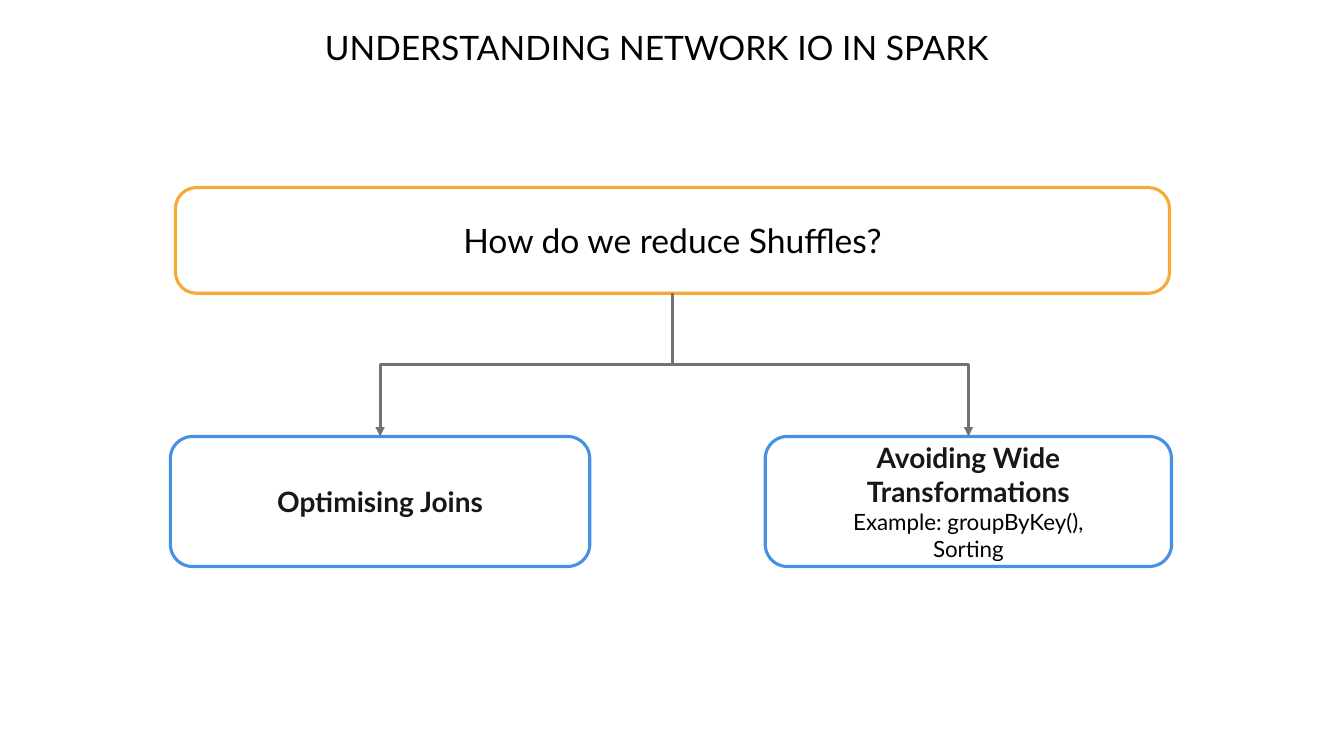
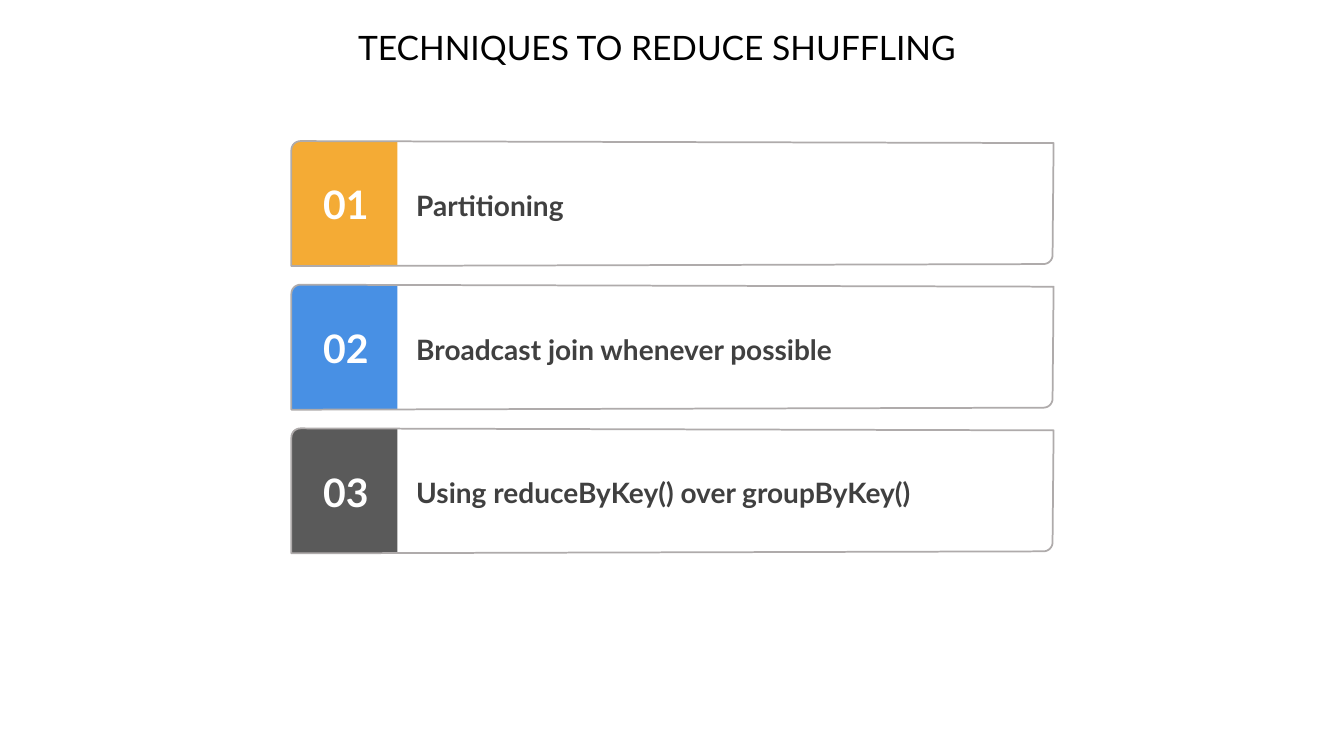
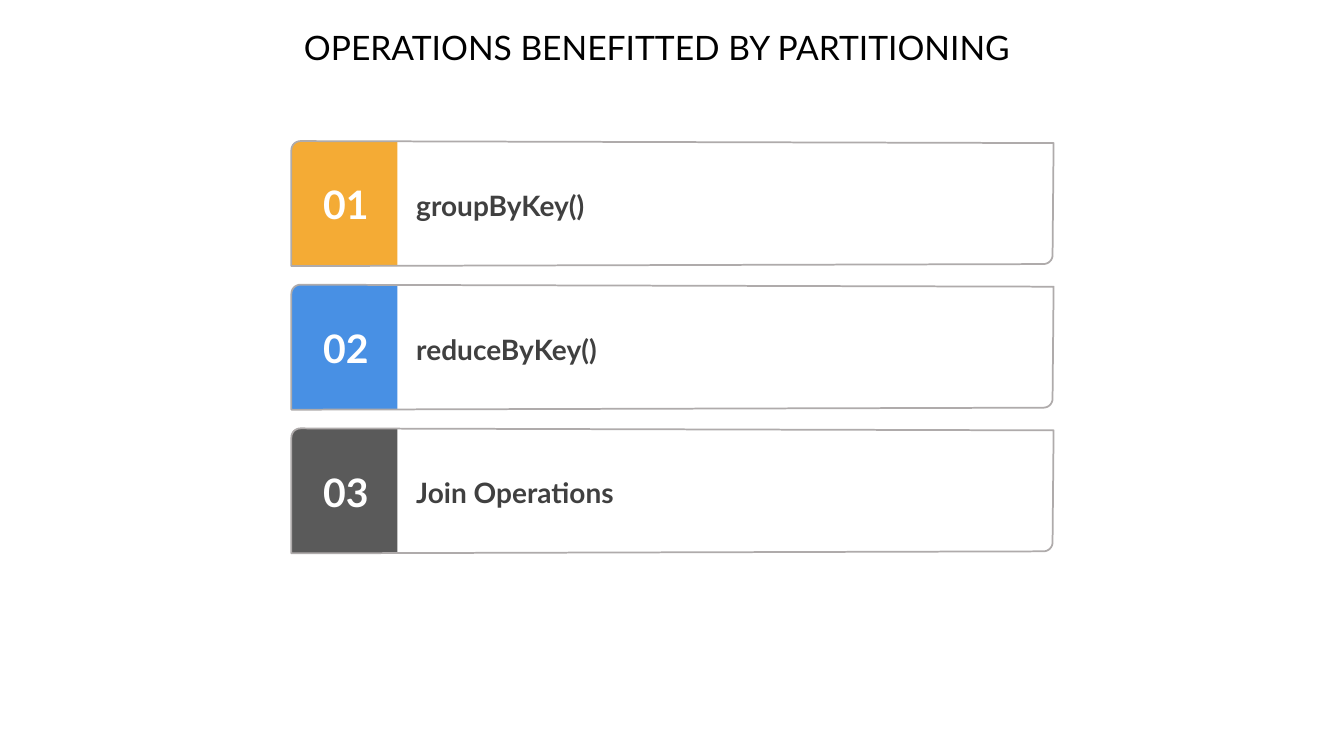
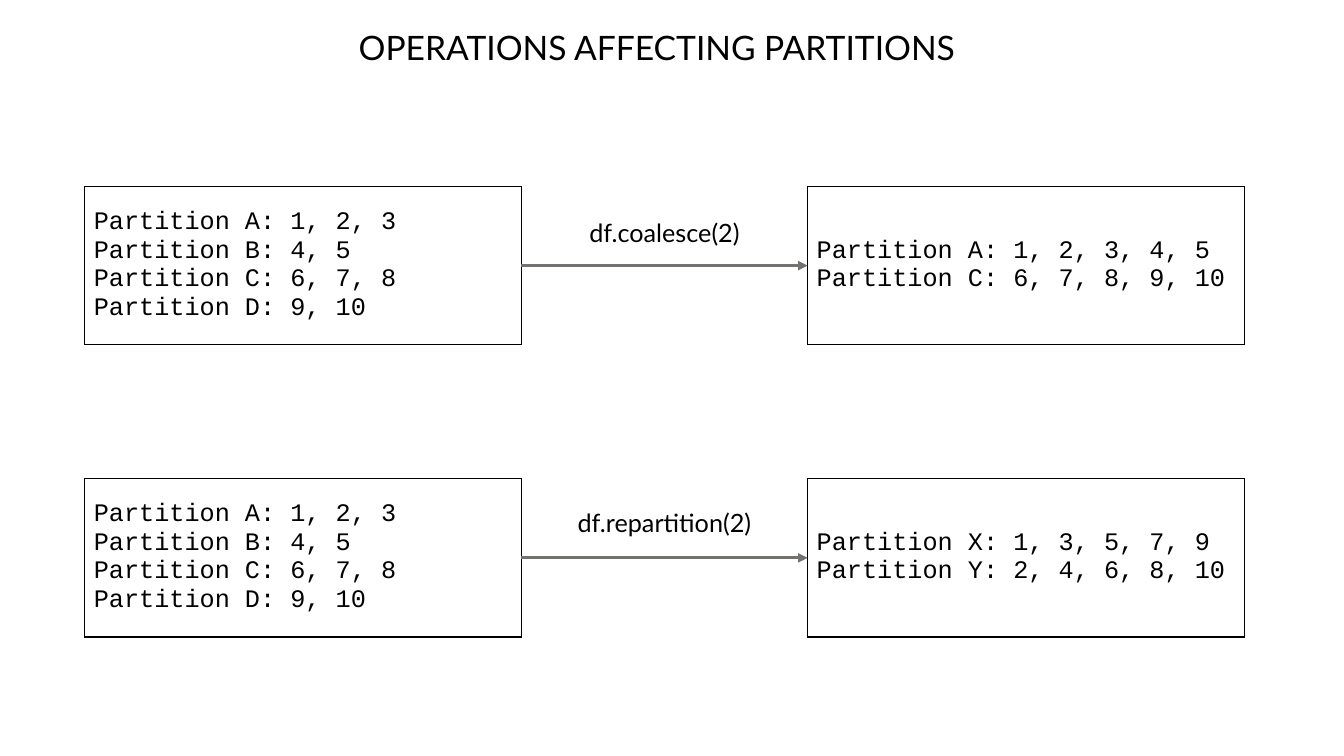
from math import cos, pi, sin

from lxml.etree import SubElement
from pptx import Presentation
from pptx.dml.color import RGBColor
from pptx.enum.shapes import MSO_CONNECTOR as Link, MSO_SHAPE as Preset
from pptx.enum.text import MSO_ANCHOR as Anchor, MSO_AUTO_SIZE as AutoSize, PP_ALIGN as Align
from pptx.oxml.ns import qn
from pptx.util import Inches, Pt

COLORS = {
    "white": "FFFFFF",
    "black": "000000",
    "heading": "181717",
    "label": "404040",
    "orange": "F4AB35",
    "blue": "4890E4",
    "charcoal": "5A5A5A",
    "outline": "AFABAB",
    "arrow": "767171",
}
SANS, MONO = "Lato", "Courier New"
BOTTOM, LEFT, TOP, RIGHT = 2, 1, 0, 3
TITLE_BOX = (1.17, 0.22, 10.69, 0.57)
LIST_BOX = (2.89, 1.4, 7.56, 4.09)
ROW_HEIGHT = 1.24
BADGE_WIDTH = 1.05


def rgb(name):
    return RGBColor.from_string(COLORS[name])


def box(left, top, width, height):
    return [Inches(length) for length in (left, top, width, height)]


def style(paragraph, size, color="black", bold=False, align=Align.CENTER, face=SANS):
    paragraph.alignment = align
    font = paragraph.font
    font.name, font.size, font.bold = face, Pt(size), bold
    font.color.rgb = rgb(color)


def set_margins(frame, margin):
    frame.margin_left = frame.margin_right = Inches(margin)
    frame.margin_top = frame.margin_bottom = Inches(margin)


def add_titled_slide(deck, heading):
    slide = deck.slides.add_slide(deck.slide_layouts[5])
    title = slide.shapes.title
    title.left, title.top, title.width, title.height = box(*TITLE_BOX)
    title.fill.solid()
    title.fill.fore_color.rgb = rgb("white")
    frame = title.text_frame
    frame.text = heading
    frame.vertical_anchor = Anchor.TOP
    frame.auto_size = AutoSize.NONE
    style(frame.paragraphs[0], 24)
    return slide


def add_text(shapes, place, text, size, color="black", bold=False, align=Align.CENTER):
    frame = shapes.add_textbox(*box(*place)).text_frame
    frame.word_wrap = True
    frame.vertical_anchor = Anchor.MIDDLE
    frame.text = text
    style(frame.paragraphs[0], size, color, bold, align)
    return frame


def add_node(slide, place, color, lines, margin, corner=0.17):
    node = slide.shapes.add_shape(Preset.ROUNDED_RECTANGLE, *box(*place))
    node.shadow.inherit = False
    node.adjustments[0] = corner
    node.fill.background()
    node.line.color.rgb = rgb(color)
    node.line.width = Pt(2.25)
    frame = node.text_frame
    frame.word_wrap = True
    frame.vertical_anchor = Anchor.MIDDLE
    set_margins(frame, margin)
    frame.text = "\n".join(text for text, *_ in lines)
    for paragraph, (_, *look) in zip(frame.paragraphs, lines):
        style(paragraph, *look)
    return node


def add_arrow(slide, kind, source, source_side, target, target_side):
    arrow = slide.shapes.add_connector(kind, 0, 0, 0, 0)
    arrow.begin_connect(source, source_side)
    arrow.end_connect(target, target_side)
    arrow.line.color.rgb = rgb("arrow")
    arrow.line.width = Pt(2.25)
    SubElement(arrow.line._get_or_add_ln(), qn("a:tailEnd"), type="triangle")
    SubElement(arrow._element.spPr, qn("a:effectLst"))
    return arrow


def add_branch(slide, parent, child):
    branch = add_arrow(slide, Link.ELBOW, parent, BOTTOM, child, TOP)
    start_x, start_y, end_x, end_y = branch.begin_x, branch.begin_y, branch.end_x, branch.end_y
    span, drop = abs(end_x - start_x), end_y - start_y
    branch.left = (start_x + end_x - drop) // 2
    branch.top = (start_y + end_y - span) // 2
    branch.width, branch.height = drop, span
    to_right = end_x > start_x
    frame = branch._element.spPr.find(qn("a:xfrm"))
    frame.set("rot", str((270 if to_right else 90) * 60000))
    frame.set("flipH", str(int(to_right)))
    frame.set("flipV", "0")


def add_question_tree(slide):
    question = add_node(slide, (1.74, 1.86, 9.86, 1.05), "orange",
                        [("How do we reduce Shuffles?", 24)], 0.1, 0.2)
    spacing = question.text_frame.paragraphs[0]
    spacing.space_before = spacing.space_after = Pt(4)
    joins = add_node(slide, (1.69, 4.33, 4.16, 1.29), "blue",
                     [("Optimising Joins", 20, "heading", True)], 0.13)
    wide = add_node(slide, (7.59, 4.33, 4.03, 1.29), "blue",
                    [("Avoiding Wide Transformations", 20, "heading", True),
                     ("Example: groupByKey(),", 16),
                     ("Sorting", 16)], 0.13)
    for answer in (wide, joins):
        add_branch(slide, question, answer)


def corner(center_x, center_y, radius, start, steps=8):
    angles = [start + pi / 2 * step / steps for step in range(steps + 1)]
    return [(center_x + radius * cos(a), center_y + radius * sin(a)) for a in angles]


def add_outline(shapes, left, top, points):
    first, *others = [(Inches(left + x), Inches(top + y)) for x, y in points]
    builder = shapes.build_freeform(*first)
    builder.add_line_segments(others, close=True)
    outline = builder.convert_to_shape()
    outline.shadow.inherit = False
    return outline


def add_row(slide, left, top, width, number, color, label):
    shapes = slide.shapes.add_group_shape().shapes
    badge = add_outline(shapes, left, top, corner(0.09, 0.09, 0.09, pi) + [
        (BADGE_WIDTH, 0), (BADGE_WIDTH, ROW_HEIGHT), (0, ROW_HEIGHT)])
    badge.fill.solid()
    badge.fill.fore_color.rgb = rgb(color)
    badge.line.fill.background()
    border = add_outline(shapes, left, top, corner(0.09, 0.09, 0.09, pi) + [(width, 0.02)]
                         + corner(width - 0.1, ROW_HEIGHT - 0.11, 0.09, 0) + [(0, ROW_HEIGHT)])
    border.fill.background()
    border.line.color.rgb = rgb("outline")
    border.line.width = Pt(1.25)
    add_text(shapes, (left + 0.01, top + 0.34, 1.06, 0.57), f"{number:02}", 28, "white", True)
    caption = add_text(shapes, (left + 1.14, top + 0.25, 6.25, 0.75), label, 20, "label", True,
                       Align.LEFT).paragraphs[0]
    caption.line_spacing = 1.07
    caption.space_after = Pt(2)


def add_numbered_list(slide, place, labels):
    left, top, width, height = place
    pitch = (height - ROW_HEIGHT) / (len(labels) - 1)
    for index, (color, label) in enumerate(zip(("orange", "blue", "charcoal"), labels)):
        add_row(slide, left, top + index * pitch, width, index + 1, color, label)


def add_partitions(slide, place, lines):
    holder = slide.shapes.add_table(1, 1, *box(*place))
    holder.table.first_row = holder.table.horz_banding = False
    cell = holder.table.cell(0, 0)
    cell.vertical_anchor = Anchor.MIDDLE
    set_margins(cell, 0.09)
    properties = cell._tc.get_or_add_tcPr()
    for side in ("a:lnL", "a:lnR", "a:lnT", "a:lnB"):
        edge = SubElement(properties, qn(side), w=str(Pt(1)))
        SubElement(SubElement(edge, qn("a:solidFill")), qn("a:srgbClr"), val=COLORS["black"])
    cell.fill.background()
    listing = cell.text_frame.paragraphs[0]
    listing.text = "\v".join(f"Partition {name}: {values}" for name, values in lines)
    style(listing, 18, align=Align.LEFT, face=MONO)
    listing.space_before = listing.space_after = Pt(3)
    return holder


def add_operation(slide, place, call, call_top, before, after):
    left, top, width, height = place
    cell_width = 4.33
    source = add_partitions(slide, (left, top, cell_width, height), before)
    result = add_partitions(slide, (left + width - cell_width, top, cell_width, height), after)
    add_arrow(slide, Link.STRAIGHT, source, RIGHT, result, LEFT)
    gap = width - 2 * cell_width
    frame = add_text(slide.shapes, (left + cell_width, top + call_top, gap, 0.3), call, 18)
    set_margins(frame, 0)


def main():
    deck = Presentation()
    deck.slide_width, deck.slide_height = Inches(13.33), Inches(7.5)

    add_question_tree(add_titled_slide(deck, "UNDERSTANDING NETWORK IO IN SPARK"))

    numbered = {
        "TECHNIQUES TO REDUCE SHUFFLING": (
            "Partitioning",
            "Broadcast join whenever possible",
            "Using reduceByKey() over groupByKey()"),
        "OPERATIONS BENEFITTED BY PARTITIONING": (
            "groupByKey()", "reduceByKey()", "Join Operations"),
    }
    for heading, labels in numbered.items():
        add_numbered_list(add_titled_slide(deck, heading), LIST_BOX, labels)

    operations = add_titled_slide(deck, "OPERATIONS AFFECTING PARTITIONS")
    start = [("A", "1, 2, 3"), ("B", "4, 5"), ("C", "6, 7, 8"), ("D", "9, 10")]
    add_operation(operations, (0.84, 1.85, 11.5, 1.57), "df.coalesce(2)", 0.31, start,
                  [("A", "1, 2, 3, 4, 5"), ("C", "6, 7, 8, 9, 10")])
    add_operation(operations, (0.84, 4.75, 11.5, 1.57), "df.repartition(2)", 0.28, start,
                  [("X", "1, 3, 5, 7, 9"), ("Y", "2, 4, 6, 8, 10")])

    deck.save("out.pptx")


if __name__ == "__main__":
    main()
